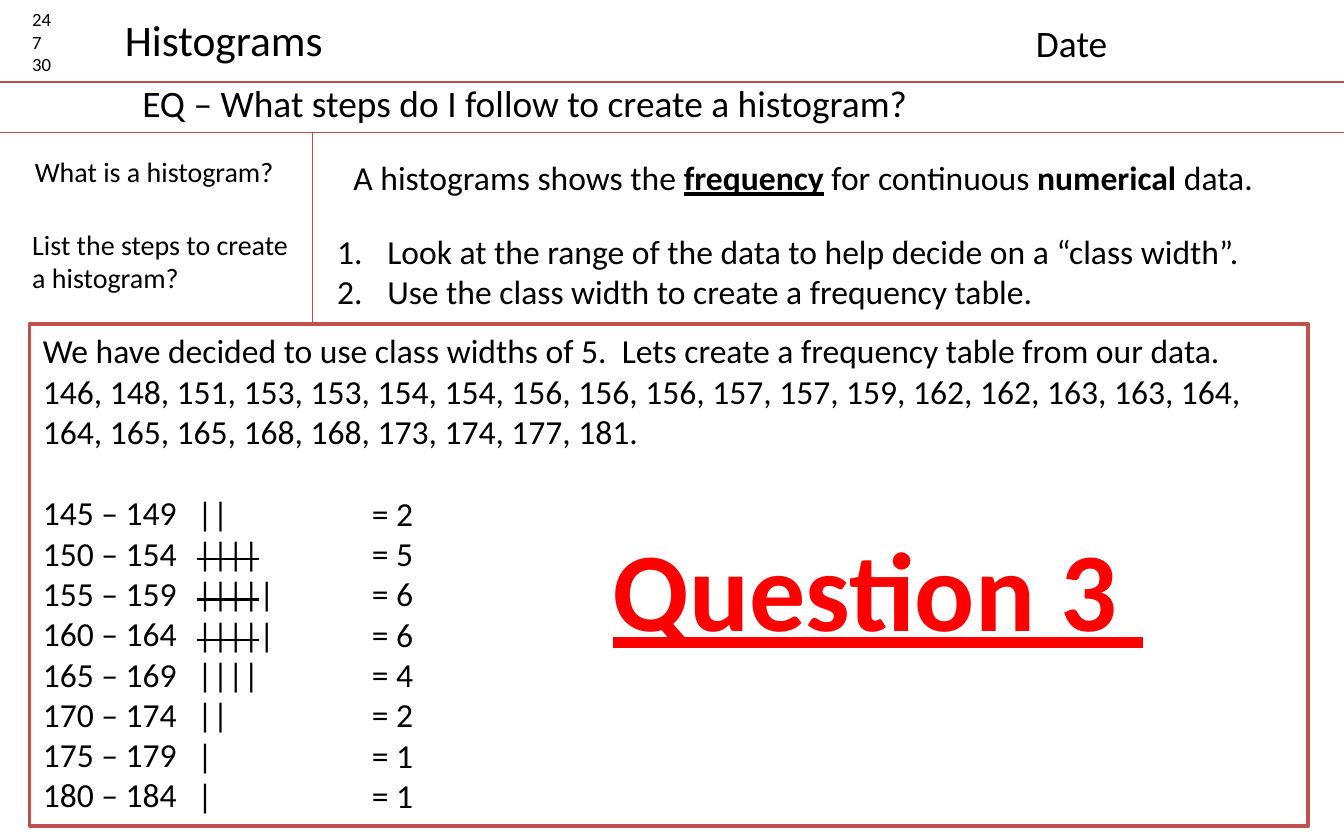
from lxml import etree
from pptx import Presentation
from pptx import util as u
from pptx.dml.color import RGBColor
from pptx.enum import shapes, text
from pptx.oxml.ns import qn

BLACK = RGBColor(0x00, 0x00, 0x00)
WHITE = RGBColor(0xFF, 0xFF, 0xFF)
RED = RGBColor(0xFF, 0x00, 0x00)
RULE_RED = RGBColor(0xBF, 0x4C, 0x48)
FRAME_RED = RGBColor(0xC0, 0x50, 0x4D)
FONT = "Calibri"
WIDTH, HEIGHT = 25.4, 15.88

FREQUENCIES = [
    ("145 – 149", 2), ("150 – 154", 5), ("155 – 159", 6), ("160 – 164", 6),
    ("165 – 169", 4), ("170 – 174", 2), ("175 – 179", 1), ("180 – 184", 1),
]
HEIGHTS = ("146, 148, 151, 153, 153, 154, 154, 156, 156, 156, 157, 157, 159, 162, "
           "162, 163, 163, 164, 164, 165, 165, 168, 168, 173, 174, 177, 181.")


def add_run(paragraph, words, size, color=BLACK, bold=False, underline=False, strike=False):
    run = paragraph.add_run()
    run.text = words
    font = run.font
    font.name, font.size, font.color.rgb = FONT, u.Pt(size), color
    font.bold, font.underline = bold, underline
    if strike:
        run._r.get_or_add_rPr().set("strike", "sngStrike")


def fill_paragraphs(frame, lines, size):
    """Each line is a list of (words, format) runs."""
    for index, runs in enumerate(lines):
        paragraph = frame.paragraphs[0] if index == 0 else frame.add_paragraph()
        paragraph.alignment = text.PP_ALIGN.LEFT
        for words, style in runs:
            add_run(paragraph, words, size, **style)
    return frame.paragraphs


def add_text(slide, box, lines, size, wrap=True):
    frame = slide.shapes.add_textbox(*map(u.Cm, box)).text_frame
    frame.word_wrap = wrap
    return fill_paragraphs(frame, lines, size)


def plain(*lines):
    return [[(line, {})] for line in lines]


def add_rule(slide, *ends):
    rule = slide.shapes.add_connector(shapes.MSO_CONNECTOR.STRAIGHT, *map(u.Cm, ends))
    rule.line.color.rgb = RULE_RED
    rule.line.width = u.Pt(0.75)
    etree.SubElement(rule._element.spPr, qn("a:effectLst"))


def add_header(slide, left, top, width, height):
    for y in (top + 1.55, top + height):
        add_rule(slide, left, y, left + width, y)
    add_text(slide, (left + 0.36, top + 0.03, 1.32, 1.55), plain("24", "7", "30"), 10)
    add_text(slide, (left + 2.11, top + 0.13, 4.47, 1.24), plain("Histograms"), 23.3, wrap=False)
    add_text(slide, (left + 19.33, top + 0.25, 3.66, 1.12), plain("Date"), 20)
    add_text(slide, (left + 2.44, top + 1.4, 19.96, 1.12),
             plain("EQ – What steps do I follow to create a histogram?"), 20)


def add_cues(slide, left, top, width, height):
    add_rule(slide, left + width, top, left + width, top + height)
    add_text(slide, (left + 0.41, top + 0.29, 5.05, 0.89),
             plain("What is a histogram?"), 15, wrap=False)
    add_text(slide, (left + 0.36, top + 1.67, 5.51, 1.55),
             plain("List the steps to create a histogram?"), 15)


def add_notes(slide, left, top, width):
    definition = [
        ("A histograms shows the ", {}),
        ("frequency", {"bold": True, "underline": True}),
        (" for continuous ", {}),
        ("numerical", {"bold": True}),
        (" data.", {}),
    ]
    add_text(slide, (left + 0.53, top + 0.34, width - 1.21, 1.02), [definition], 18)
    steps = add_text(slide, (left + 0.22, top + 1.74, width - 0.45, 3.33), plain(
        "Look at the range of the data to help decide on a “class width”.",
        "Use the class width to create a frequency table."), 18)
    for step in steps:
        properties = step._p.get_or_add_pPr()
        properties.set("marL", str(u.Cm(0.95)))
        properties.set("indent", str(u.Cm(-0.95)))
        etree.SubElement(properties, qn("a:buFont"), typeface="+mj-lt")
        etree.SubElement(properties, qn("a:buAutoNum"), type="arabicPeriod")


def tally_line(count):
    """Four struck marks stand for a full five."""
    fives, rest = divmod(count, 5)
    struck = [("||||", {"strike": True})] * fives
    return struck + [("|" * rest + f"\t= {count}", {})]


def add_worked_example(slide, left, top, width, height):
    frame_box = slide.shapes.add_shape(
        shapes.MSO_SHAPE.RECTANGLE, *map(u.Cm, (left, top, width, height)))
    frame_box.shadow.inherit = False
    frame_box.fill.solid()
    frame_box.fill.fore_color.rgb = WHITE
    frame_box.line.color.rgb = FRAME_RED
    frame_box.line.width = u.Pt(2)
    frame = frame_box.text_frame
    frame.word_wrap = True
    frame.vertical_anchor = text.MSO_ANCHOR.TOP
    intro = plain(
        "We have decided to use class widths of 5.  Lets create a frequency table from our data.",
        HEIGHTS)
    classes = plain(*(interval for interval, _ in FREQUENCIES))
    paragraphs = fill_paragraphs(frame, intro + classes, 18)
    paragraphs[len(intro)].space_before = u.Pt(22)

    tallies = add_text(slide, (left + 2.92, top + 3.07, 6.2, 6.4),
                       [tally_line(count) for _, count in FREQUENCIES], 18)
    for tally in tallies:
        tabs = etree.SubElement(tally._p.get_or_add_pPr(), qn("a:tabLst"))
        etree.SubElement(tabs, qn("a:tab"), pos=str(u.Cm(3.3)), algn="l")

    question = {"color": RED, "bold": True, "underline": True}
    add_text(slide, (left + 10.77, top + 3.58, 11.81, 5.38), [[("Question 3 ", question)]], 60)


def main():
    deck = Presentation()
    deck.slide_width, deck.slide_height = u.Cm(WIDTH), u.Cm(HEIGHT)
    slide = deck.slides.add_slide(deck.slide_layouts[6])
    header_height, cue_width = 2.5, 5.9
    add_header(slide, 0, 0, WIDTH, header_height)
    add_cues(slide, 0, header_height, cue_width, 11.57)
    add_notes(slide, cue_width, header_height, WIDTH - cue_width)
    add_worked_example(slide, 0.56, 6.12, 24.16, 9.5)
    deck.save("out.pptx")


if __name__ == "__main__":
    main()
